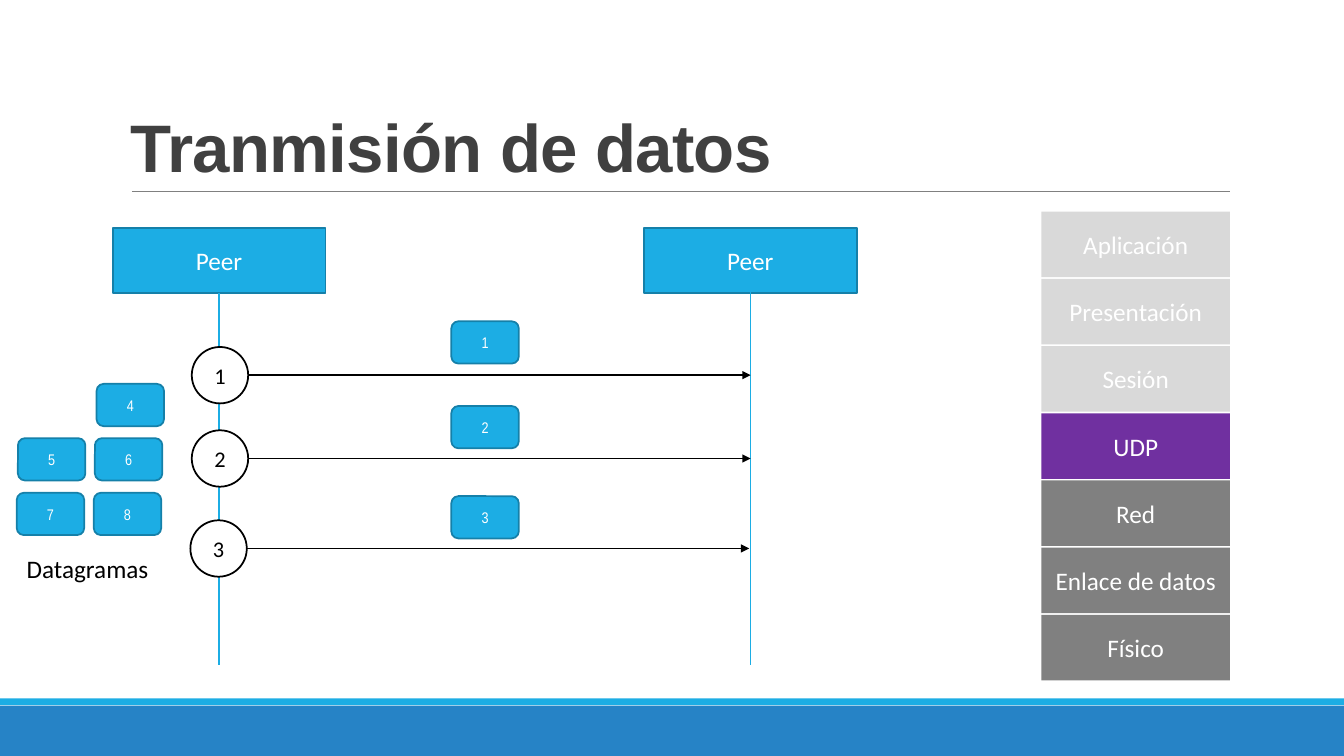
from pptx import Presentation
from pptx.dml.color import RGBColor
from pptx.enum.shapes import MSO_CONNECTOR, MSO_SHAPE as SHAPE
from pptx.enum.text import MSO_ANCHOR as ANCHOR, PP_ALIGN as ALIGN
from pptx.oxml.ns import qn
from pptx.util import Pt
from lxml.etree import SubElement

BLUE, DARK_BLUE, BAND = "1CADE4", "1580A9", "2683C6"
WHITE, BLACK, TITLE = "FFFFFF", "000000", "404040"
PALE, GREY, PURPLE = "D9D9D9", "808080", "7030A0"


def rgb(color):
    return RGBColor.from_string(color)


class Diagram:
    """Draws styled elements on one slide, with lengths in points."""
    font = "Calibri"
    outline = 1.25

    def __init__(self, slide):
        self.shapes = slide.shapes

    def label(self, sp, text, size, color, font=None, bold=False,
              align=ALIGN.CENTER, anchor=ANCHOR.MIDDLE):
        tf = sp.text_frame
        tf.word_wrap = True
        tf.vertical_anchor = anchor
        p = tf.paragraphs[0]
        p.alignment = align
        r = p.add_run()
        r.text = text
        r.font.name = font or self.font
        r.font.size = Pt(size)
        r.font.bold = bold
        r.font.color.rgb = rgb(color)
        return p

    def shape(self, kind, x, y, w, h, fill, line=None):
        sp = self.shapes.add_shape(kind, Pt(x), Pt(y), Pt(w), Pt(h))
        sp.shadow.inherit = False
        sp.fill.solid()
        sp.fill.fore_color.rgb = rgb(fill)
        if line:
            sp.line.color.rgb = rgb(line)
            sp.line.width = Pt(self.outline)
        else:
            sp.line.fill.background()
        return sp

    def text(self, text, x, y, w, h, size, color, **style):
        sp = self.shapes.add_textbox(Pt(x), Pt(y), Pt(w), Pt(h))
        return self.label(sp, text, size, color, **style)

    def line(self, x1, y1, x2, y2, color, width=1, arrow=False):
        cn = self.shapes.add_connector(MSO_CONNECTOR.STRAIGHT,
                                       Pt(x1), Pt(y1), Pt(x2), Pt(y2))
        cn.line.color.rgb = rgb(color)
        cn.line.width = Pt(width)
        props = cn._element.spPr
        if arrow:
            SubElement(props.find(qn("a:ln")), qn("a:tailEnd"), type="triangle")
        SubElement(props, qn("a:effectLst"))

    def title(self, text):
        p = self.text(text, 86.4, 22.3, 792, 114.5, 48, TITLE, font="Arial",
                      bold=True, align=ALIGN.LEFT, anchor=ANCHOR.BOTTOM)
        p.line_spacing = 0.85
        p.runs[0].font._element.set("spc", "-50")

    def layer(self, name, y, fill):
        sp = self.shape(SHAPE.RECTANGLE, 743.8, y, 134.8, 46.8, fill)
        self.label(sp, name, 18, WHITE)

    def peer(self, x):
        sp = self.shape(SHAPE.RECTANGLE, x, 162.7, 152, 46.8, BLUE, DARK_BLUE)
        self.label(sp, "Peer", 18, WHITE)

    def datagram(self, number, x, y):
        sp = self.shape(SHAPE.ROUNDED_RECTANGLE, x, y, 48.2, 30.2, BLUE, DARK_BLUE)
        self.label(sp, str(number), 11, WHITE, font="Arial Narrow")

    def step(self, number, x, y, end):
        """Numbered circle with an arrow to the receiving peer."""
        d = 40.3
        sp = self.shape(SHAPE.OVAL, x, y - d / 2, d, d, WHITE, BLACK)
        self.label(sp, str(number), 16, BLACK)
        self.line(x + d, y, end, y, BLACK, arrow=True)


def main():
    prs = Presentation()
    prs.slide_width, prs.slide_height = Pt(960), Pt(540)
    s = prs.slides.add_slide(prs.slide_layouts[6])
    d = Diagram(s)

    d.shape(SHAPE.RECTANGLE, 0, 504, 960, 36, BAND)
    d.shape(SHAPE.RECTANGLE, 0, 498.8, 960, 4.9, BLUE)
    d.line(94.3, 136.8, 878.8, 136.8, GREY, 0.5)
    d.title("Tranmisión de datos")

    layers = [("Aplicación", PALE), ("Presentación", PALE), ("Sesión", PALE),
              ("UDP", PURPLE), ("Red", GREY), ("Enlace de datos", GREY),
              ("Físico", GREY)]
    for i, (name, fill) in enumerate(layers):
        d.layer(name, 151.2 + 48 * i, fill)

    for x, lifeline, top in [(80.5, 156.4, 209.5), (460, 536.2, 199.5)]:
        d.peer(x)
        d.line(lifeline, top, lifeline, 475, BLUE)

    steps = [(137, 268, 536.2, 229.5), (137, 327.5, 536.2, 290),
             (136, 391.8, 535.2, 354.4)]
    for number, (x, y, end, datagram_y) in enumerate(steps, 1):
        d.step(number, x, y, end)
        d.datagram(number, 322.4, datagram_y)

    waiting = [(69, 274.2), (12.8, 313), (67.8, 313), (12, 352), (67, 352)]
    for number, (x, y) in enumerate(waiting, 4):
        d.datagram(number, x, y)
    d.text("Datagramas", 10, 391.8, 105, 29, 18, BLACK, anchor=ANCHOR.TOP)

    prs.save("out.pptx")


if __name__ == "__main__":
    main()
